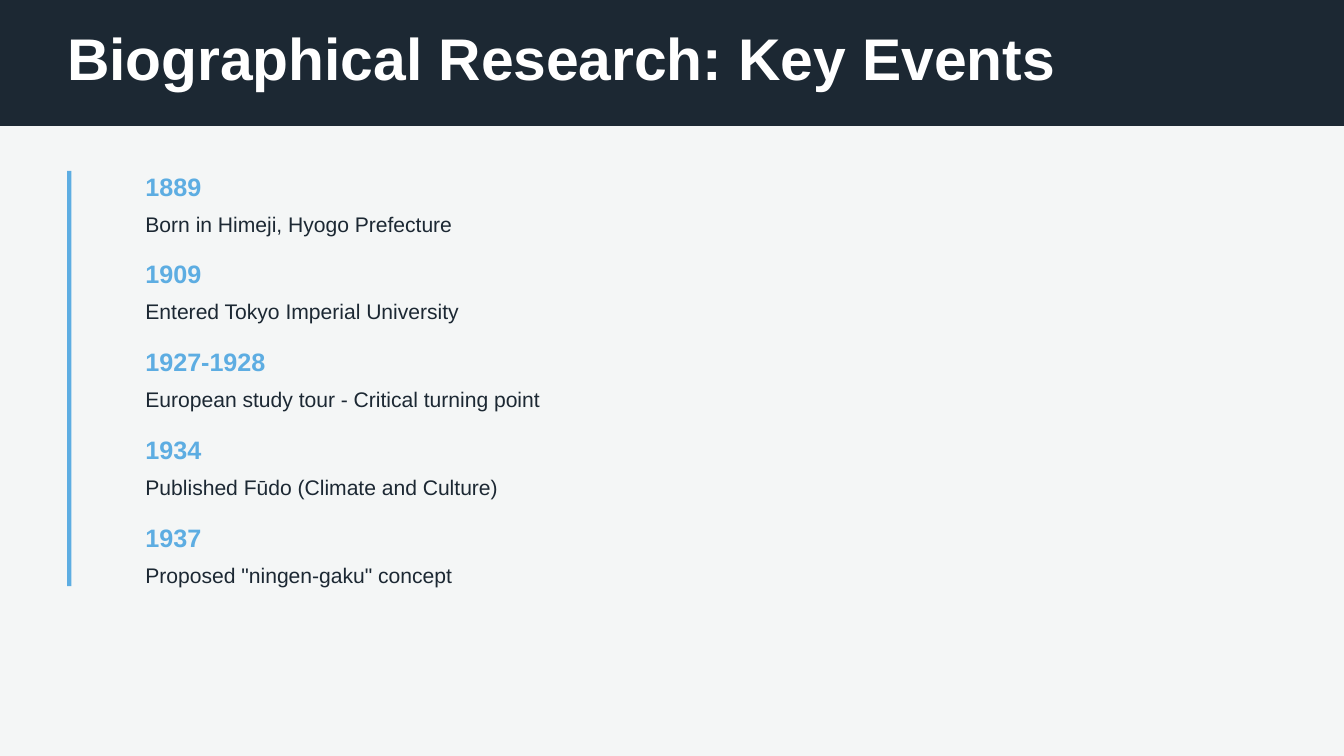
from pptx import Presentation
from pptx.dml.color import RGBColor
from pptx.enum.shapes import MSO_SHAPE
from pptx.util import Cm, Pt

RECTANGLE = MSO_SHAPE.RECTANGLE
NAVY = RGBColor(0x1C, 0x28, 0x33)
SKY = RGBColor(0x5D, 0xAD, 0xE2)
PAPER = RGBColor(0xF4, 0xF6, 0xF6)
WHITE = RGBColor(0xFF, 0xFF, 0xFF)

EVENTS = [
    ("1889", "Born in Himeji, Hyogo Prefecture"),
    ("1909", "Entered Tokyo Imperial University"),
    ("1927-1928", "European study tour - Critical turning point"),
    ("1934", "Published Fūdo (Climate and Culture)"),
    ("1937", 'Proposed "ningen-gaku" concept'),
]
MARGIN = 1.27
TIMELINE_TOP = 3.23
EVENT_PITCH = 1.66
EVENT_LEFT = 2.75
EVENT_WIDTH = 21.81
LINE_HEIGHT = 0.56
DETAIL_OFFSET = 0.68


class SlideBuilder:
    """Holds the style and the current slide, and adds elements to it."""

    font_name = "Arial"

    def __init__(self, slide):
        self.slide = slide

    def background(self, color):
        fill = self.slide.background.fill
        fill.solid()
        fill.fore_color.rgb = color

    def bar(self, left, top, width, height, color):
        shape = self.slide.shapes.add_shape(
            RECTANGLE, Cm(left), Cm(top), Cm(width), Cm(height))
        shape.shadow.inherit = False
        shape.fill.solid()
        shape.fill.fore_color.rgb = color
        shape.line.fill.background()

    def text(self, text, left, top, width, height, size, color, spacing,
             bold=False, before=0, after=0):
        shape = self.slide.shapes.add_textbox(
            Cm(left), Cm(top), Cm(width), Cm(height))
        frame = shape.text_frame
        frame.word_wrap = True
        frame.margin_left = frame.margin_right = 0
        frame.margin_top = frame.margin_bottom = 0
        paragraph = frame.paragraphs[0]
        paragraph.text = text
        paragraph.line_spacing = Pt(spacing)
        paragraph.space_before = Pt(before)
        paragraph.space_after = Pt(after)
        paragraph.font.name = self.font_name
        paragraph.font.size = Pt(size)
        paragraph.font.bold = bold
        paragraph.font.color.rgb = color

    def event(self, year, detail, top):
        self.text(year, EVENT_LEFT, top, EVENT_WIDTH, LINE_HEIGHT,
                  13.5, SKY, 16.2, bold=True, after=3)
        self.text(detail, EVENT_LEFT, top + DETAIL_OFFSET, EVENT_WIDTH, LINE_HEIGHT,
                  11.25, NAVY, 15.75, before=3, after=3)


def main():
    presentation = Presentation()
    presentation.slide_width = Cm(25.4)
    presentation.slide_height = Cm(14.29)
    builder = SlideBuilder(presentation.slides.add_slide(presentation.slide_layouts[6]))

    builder.background(PAPER)
    builder.bar(0, 0, 25.4, 2.38, NAVY)
    builder.text("Biographical Research: Key Events", MARGIN, 0.64, 19.1, 1.11,
                 31.5, WHITE, 31.5, bold=True)
    builder.bar(MARGIN, TIMELINE_TOP, 0.08, 7.85, SKY)
    for index, (year, detail) in enumerate(EVENTS):
        builder.event(year, detail, TIMELINE_TOP + index * EVENT_PITCH)

    presentation.save("out.pptx")


if __name__ == "__main__":
    main()
